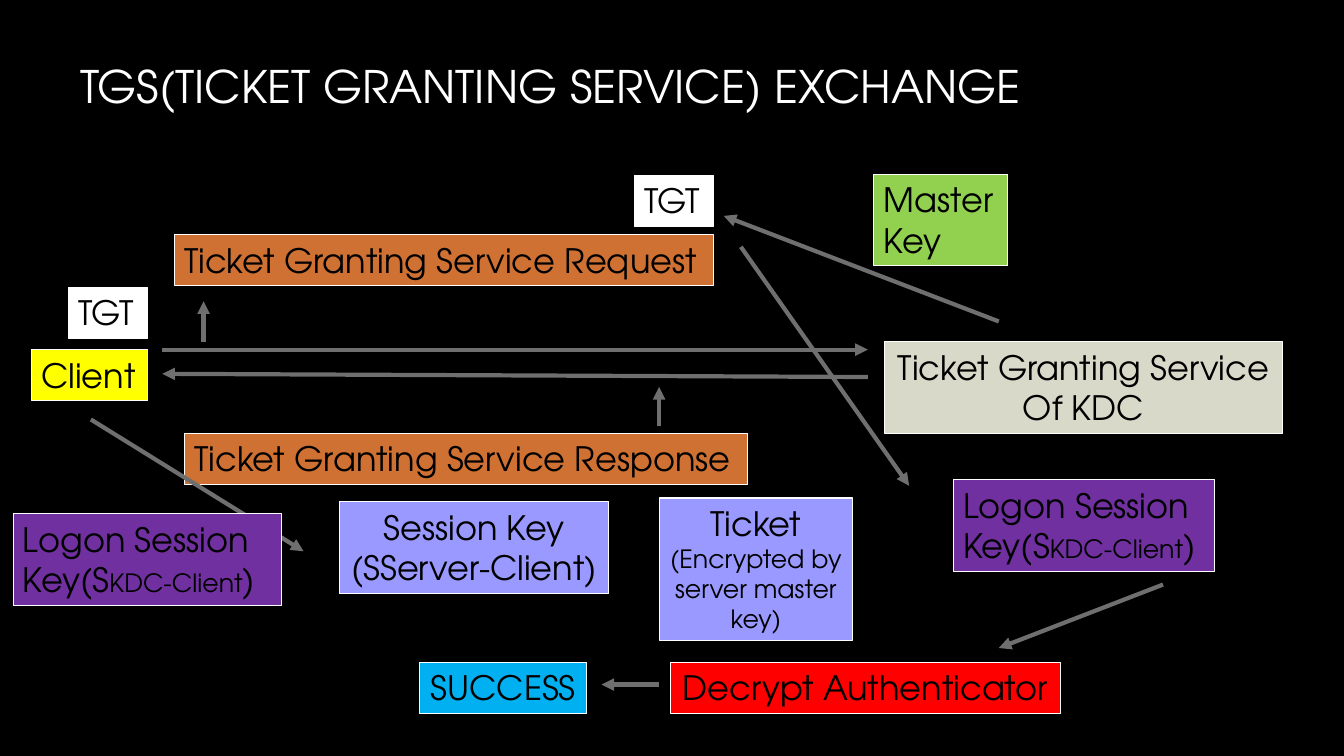
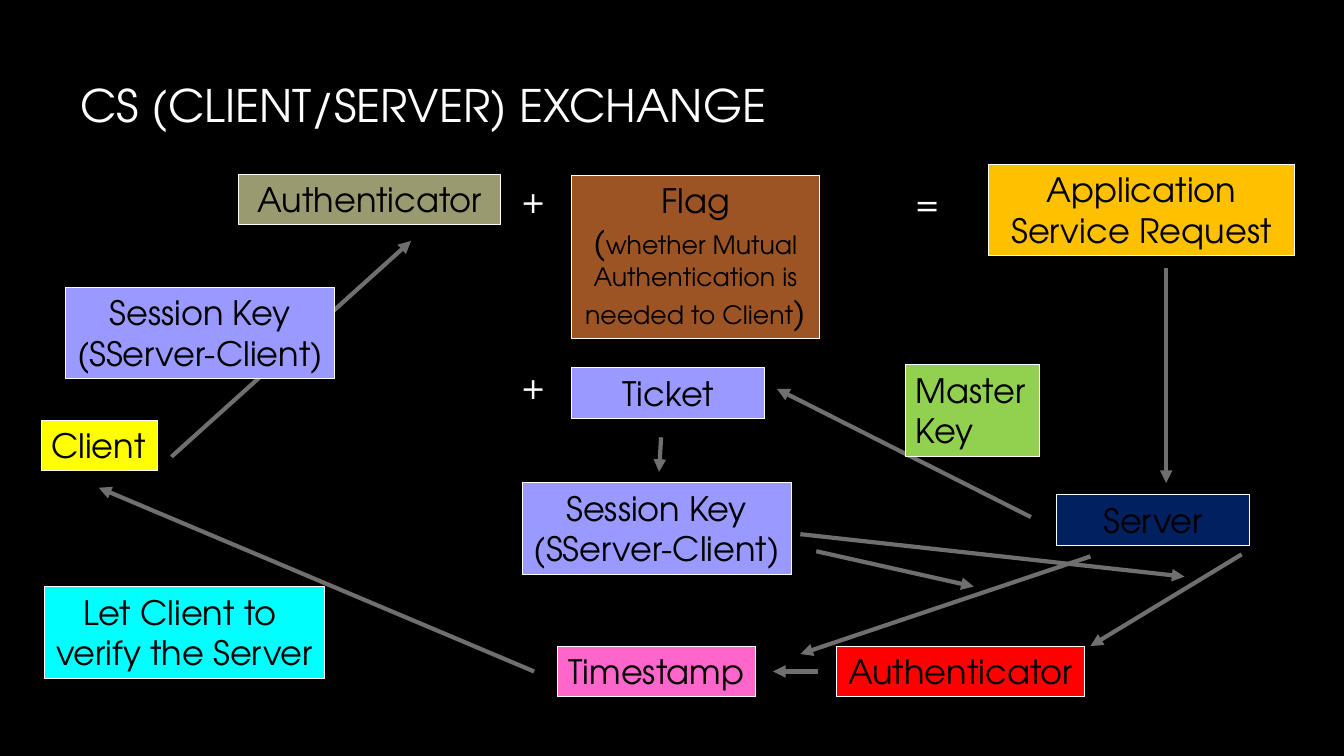
import pptx
import pptx.util
import pptx.dml.color
import pptx.enum.shapes
import pptx.enum.text
from lxml import etree

Cm, Pt = pptx.util.Cm, pptx.util.Pt
colour = pptx.dml.color.RGBColor.from_string
LEFT, CENTER = pptx.enum.text.PP_ALIGN.LEFT, pptx.enum.text.PP_ALIGN.CENTER

FONT = "TeX Gyre Adventor"
BLACK, WHITE, GREY = "000000", "FFFFFF", "6F6F6F"
ORANGE, LILAC, RED = "CF7133", "9999FF", "FF0000"
ONE_LINE, TWO_LINES = 1.28, 2.31

# Parts of the protocol: fill, height, alignment, wrap, paragraphs
# (text between bars is set smaller)
PARTS = {
    "client": ("FFFF00", ONE_LINE, LEFT, False, ["Client"]),
    "tgt": (WHITE, ONE_LINE, LEFT, False, ["TGT"]),
    "kdc": ("D9D9C9", TWO_LINES, CENTER, False, ["Ticket Granting Service", "Of KDC"]),
    "request": (ORANGE, ONE_LINE, LEFT, False, ["Ticket Granting Service Request"]),
    "response": (ORANGE, ONE_LINE, LEFT, False, ["Ticket Granting Service Response"]),
    "master key": ("92D050", TWO_LINES, LEFT, True, ["Master", "Key"]),
    "logon key": ("7030A0", TWO_LINES, LEFT, True, ["Logon Session Key(S|KDC-Client|)"]),
    "session key": (LILAC, TWO_LINES, CENTER, False, ["Session Key", "(SServer-Client)"]),
    "encrypted ticket": (LILAC, 3.58, CENTER, True,
                         ["Ticket", "|(Encrypted by server master key)|"]),
    "decrypt": (RED, ONE_LINE, CENTER, False, ["Decrypt Authenticator"]),
    "success": ("00B0F0", ONE_LINE, CENTER, False, ["SUCCESS"]),
    "authenticator": ("9A9A71", ONE_LINE, CENTER, True, ["Authenticator"]),
    "flag": ("9D5425", 4.11, CENTER, True,
             ["Flag", "(|whether Mutual Authentication is needed to Client|)"]),
    "ticket": (LILAC, ONE_LINE, CENTER, True, ["Ticket"]),
    "application request": ("FFC000", TWO_LINES, CENTER, True, ["Application Service Request"]),
    "server": ("002060", ONE_LINE, CENTER, True, ["Server"]),
    "received authenticator": (RED, ONE_LINE, CENTER, False, ["Authenticator"]),
    "timestamp": ("FF66CC", ONE_LINE, CENTER, False, ["Timestamp"]),
    "verify": ("00FFFF", TWO_LINES, CENTER, False, ["Let Client to ", "verify the Server"]),
    "plus": (None, ONE_LINE, CENTER, True, ["+"]),
    "equals": (None, ONE_LINE, CENTER, True, ["="]),
}


def add_part(slide, part, left, top, width):
    fill, height, align, wrap, texts = PARTS[part]
    place = Cm(left), Cm(top), Cm(width), Cm(height)
    if fill:
        box = slide.shapes.add_shape(pptx.enum.shapes.MSO_SHAPE.RECTANGLE, *place)
        box.shadow.inherit = False
        box.fill.solid()
        box.fill.fore_color.rgb = colour(fill)
        box.line.color.rgb = colour(WHITE)
        box.line.width = Pt(0.75)
    else:
        box = slide.shapes.add_textbox(*place)
    frame = box.text_frame
    frame.word_wrap = wrap
    frame.auto_size = pptx.enum.text.MSO_AUTO_SIZE.SHAPE_TO_FIT_TEXT
    frame.vertical_anchor = pptx.enum.text.MSO_ANCHOR.TOP
    for i, text in enumerate(texts):
        paragraph = frame.add_paragraph() if i else frame.paragraphs[0]
        paragraph.alignment = align
        paragraph.font.name = FONT
        paragraph.font.size = Pt(24)
        paragraph.font.color.rgb = colour(BLACK if fill else WHITE)
        for j, piece in enumerate(text.split("|")):
            if piece:
                run = paragraph.add_run()
                run.text = piece
                if j % 2:
                    run.font.size = Pt(18)


def add_arrow(slide, *ends):
    arrow = slide.shapes.add_connector(
        pptx.enum.shapes.MSO_CONNECTOR.STRAIGHT, *[Cm(end) for end in ends])
    arrow.line.color.rgb = colour(GREY)
    arrow.line.width = Pt(3)
    line = arrow.line._get_or_add_ln()
    etree.SubElement(line, pptx.oxml.ns.qn("a:tailEnd"), type="triangle")
    etree.SubElement(line.getparent(), pptx.oxml.ns.qn("a:effectLst"))


# Each exchange: title, title top, messages behind the arrows,
# arrows (from x, y to x, y), parts in front (left, top, width)
EXCHANGES = [
    ("TGS(TICKET GRANTING SERVICE) EXCHANGE", -0.48,
     [("request", 4.39, 5.92, 13.59),
      ("response", 4.65, 10.92, 14.2)],
     [(4.09, 8.81, 21.87, 8.81),
      (5.13, 8.61, 5.13, 7.59),
      (25.17, 8.1, 18.24, 5.44),
      (18.67, 6.22, 22.91, 12.24),
      (29.31, 14.73, 25.17, 16.33),
      (16.61, 17.25, 15.16, 17.25),
      (16.61, 10.74, 16.61, 9.75),
      (21.87, 9.5, 4.09, 9.42),
      (2.29, 10.57, 7.65, 13.89)],
     [("client", 0.79, 8.81, 2.93),
      ("tgt", 1.73, 7.24, 1.98),
      ("tgt", 16, 4.42, 1.98),
      ("master key", 22.02, 4.39, 3.38),
      ("kdc", 22.3, 8.61, 10.01),
      ("logon key", 24.03, 12.09, 6.58),
      ("logon key", 0.33, 12.95, 6.76),
      ("session key", 8.56, 12.65, 6.78),
      ("encrypted ticket", 16.61, 12.55, 4.88),
      ("decrypt", 16.89, 16.69, 9.83),
      ("success", 10.57, 16.69, 4.22)]),
    ("CS (CLIENT/SERVER) EXCHANGE", 0,
     [],
     [(4.32, 11.51, 10.36, 6.07),
      (25.98, 13.03, 19.58, 9.8),
      (29.39, 6.76, 29.39, 12.17),
      (16.66, 11.02, 16.61, 11.89),
      (31.29, 13.97, 27.48, 16.28),
      (20.17, 13.46, 29.85, 14.53),
      (20.62, 16.92, 19.48, 16.92),
      (27.48, 14.02, 20.17, 16.48),
      (20.57, 13.89, 24.54, 14.78),
      (13.46, 16.92, 2.49, 12.29)],
     [("authenticator", 6.02, 4.39, 6.6),
      ("plus", 11.02, 4.39, 4.88),
      ("flag", 14.4, 4.42, 6.25),
      ("plus", 11.02, 9.07, 4.88),
      ("ticket", 14.4, 9.27, 4.88),
      ("equals", 20.93, 4.47, 4.88),
      ("application request", 24.92, 4.14, 7.7),
      ("session key", 1.65, 7.24, 6.78),
      ("client", 1.04, 10.59, 2.93),
      ("session key", 13.16, 12.17, 6.78),
      ("master key", 22.83, 9.19, 3.38),
      ("server", 26.62, 12.47, 4.88),
      ("received authenticator", 21.08, 16.28, 6.25),
      ("timestamp", 14.05, 16.28, 5),
      ("verify", 1.12, 14.78, 7.06)]),
]

deck = pptx.Presentation()
deck.slide_width, deck.slide_height = Cm(33.87), Cm(19.05)

for title, title_top, messages, arrows, parts in EXCHANGES:
    slide = deck.slides.add_slide(deck.slide_layouts[6])
    slide.background.fill.solid()
    slide.background.fill.fore_color.rgb = colour(BLACK)

    # Title
    heading = slide.shapes.add_textbox(Cm(1.78), Cm(title_top), Cm(27.5), Cm(5.28)).text_frame
    heading.word_wrap = True
    heading.vertical_anchor = pptx.enum.text.MSO_ANCHOR.MIDDLE
    heading.text = title
    heading_font = heading.paragraphs[0].font
    heading_font.name = FONT
    heading_font.size = Pt(32)
    heading_font.color.rgb = colour(WHITE)

    # Diagram, from back to front
    for message in messages:
        add_part(slide, *message)
    for arrow_ends in arrows:
        add_arrow(slide, *arrow_ends)
    for part in parts:
        add_part(slide, *part)

deck.save("out.pptx")
